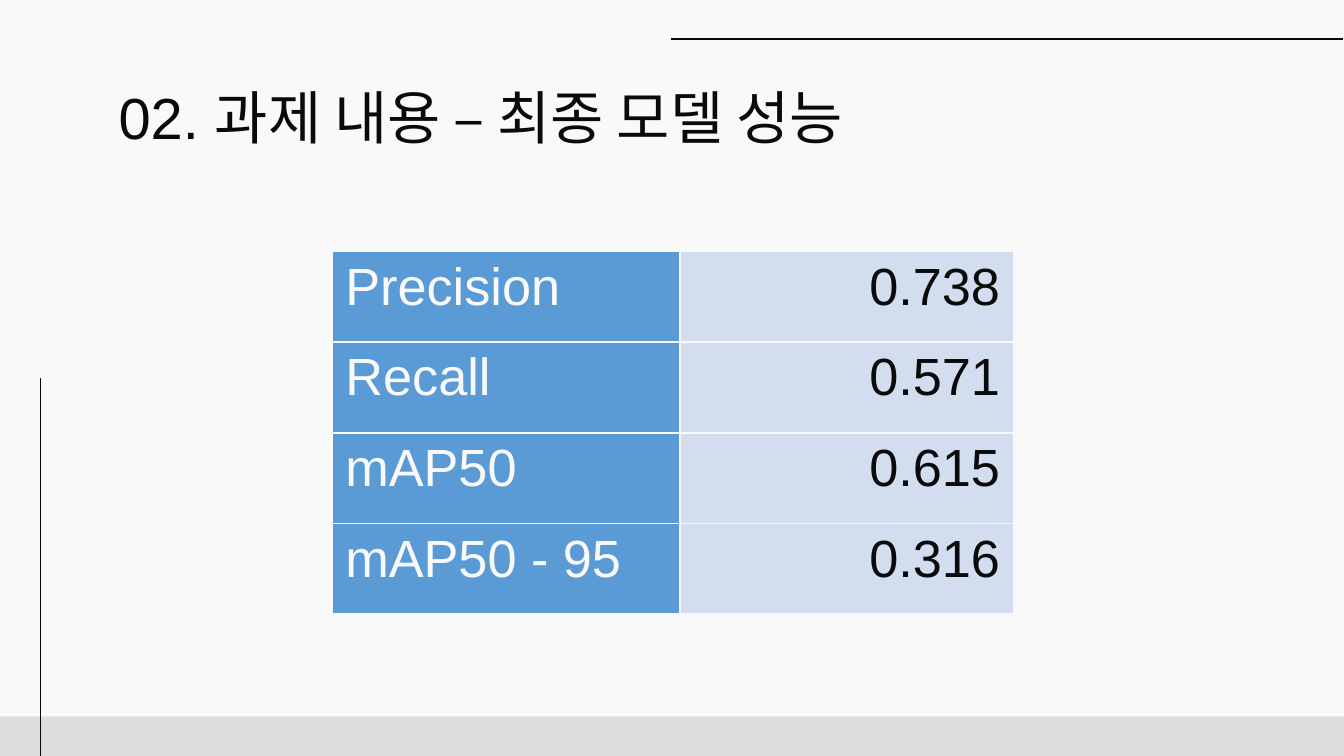
from lxml import etree
from pptx import Presentation, util as u
from pptx.dml.color import RGBColor
from pptx.enum import shapes, text
from pptx.oxml import ns

W = 10
H = W * 9 / 16
COLORS = {"paper": "F9F9F9", "ink": "0A0A0A", "band": "DDDDDD",
          "label": "5B9BD5", "value": "D2DEEF"}
METRICS = [("Precision", "0.738"), ("Recall", "0.571"),
           ("mAP50", "0.615"), ("mAP50 - 95", "0.316")]


def color(name):
    return RGBColor.from_string(COLORS[name])


def paint(fill, name):
    fill.solid()
    fill.fore_color.rgb = color(name)


def write(tf, content, size=28, ink="ink", align=text.PP_ALIGN.LEFT):
    p = tf.paragraphs[0]
    p.alignment = align
    r = p.add_run()
    r.text = content
    r.font.size = u.Pt(size)
    r.font.name = "Arial"
    r.font.color.rgb = color(ink)


def add_band(s, top):
    sp = s.shapes.add_shape(shapes.MSO_SHAPE.RECTANGLE, 0, u.Inches(top),
                            u.Inches(W), u.Inches(H - top))
    sp.shadow.inherit = False
    paint(sp.fill, "band")
    sp.line.fill.background()


def add_rule(s, *ends):
    sp = s.shapes.add_connector(shapes.MSO_CONNECTOR.STRAIGHT,
                                *(u.Inches(v) for v in ends))
    sp.line.color.rgb = color("ink")
    sp.line.width = u.Pt(0.75)
    etree.SubElement(sp._element.spPr, ns.qn("a:effectLst"))


def add_title(s, content):
    sp = s.shapes.add_textbox(*(u.Inches(v) for v in (0.32, 0.51, 6.51, 0.6)))
    tf = sp.text_frame
    tf.word_wrap = True
    tf.vertical_anchor = text.MSO_ANCHOR.TOP
    tf.margin_left = tf.margin_right = tf.margin_top = tf.margin_bottom = u.Inches(0.1)
    write(tf, content, size=31, align=text.PP_ALIGN.CENTER)


def add_borders(cell):
    props = cell._tc.get_or_add_tcPr()
    for i, side in enumerate(("lnL", "lnR", "lnT", "lnB")):
        ln = etree.Element(ns.qn(f"a:{side}"), w=str(u.Pt(1)))
        fill = etree.SubElement(ln, ns.qn("a:solidFill"))
        etree.SubElement(fill, ns.qn("a:srgbClr"), val=COLORS["paper"])
        props.insert(i, ln)


def add_metrics(s, left, top, widths, height):
    table = s.shapes.add_table(
        len(METRICS), len(widths), u.Inches(left), u.Inches(top),
        u.Inches(sum(widths)), u.Inches(height)).table
    table.first_row = table.horz_banding = False
    for column, width in zip(table.columns, widths):
        column.width = u.Inches(width)
    styles = [("label", "paper", text.PP_ALIGN.LEFT),
              ("value", "ink", text.PP_ALIGN.RIGHT)]
    for row, metric in zip(table.rows, METRICS):
        row.height = u.Inches(height / len(METRICS))
        for cell, content, (fill, ink, align) in zip(row.cells, metric, styles):
            paint(cell.fill, fill)
            add_borders(cell)
            write(cell.text_frame, content, ink=ink, align=align)


def main():
    prs = Presentation()
    prs.slide_width, prs.slide_height = u.Inches(W), u.Inches(H)
    s = prs.slides.add_slide(prs.slide_layouts[6])
    paint(s.background.fill, "paper")
    add_band(s, 5.33)
    add_rule(s, 0.3, H, 0.3, H / 2)
    add_rule(s, W / 2 - 0.01, 0.29, W - 0.01, 0.29)
    add_title(s, "02. 과제 내용 – 최종 모델 성능")
    add_metrics(s, 2.47, 1.87, (2.59, 2.48), 2.7)
    prs.save("out.pptx")


if __name__ == "__main__":
    main()
